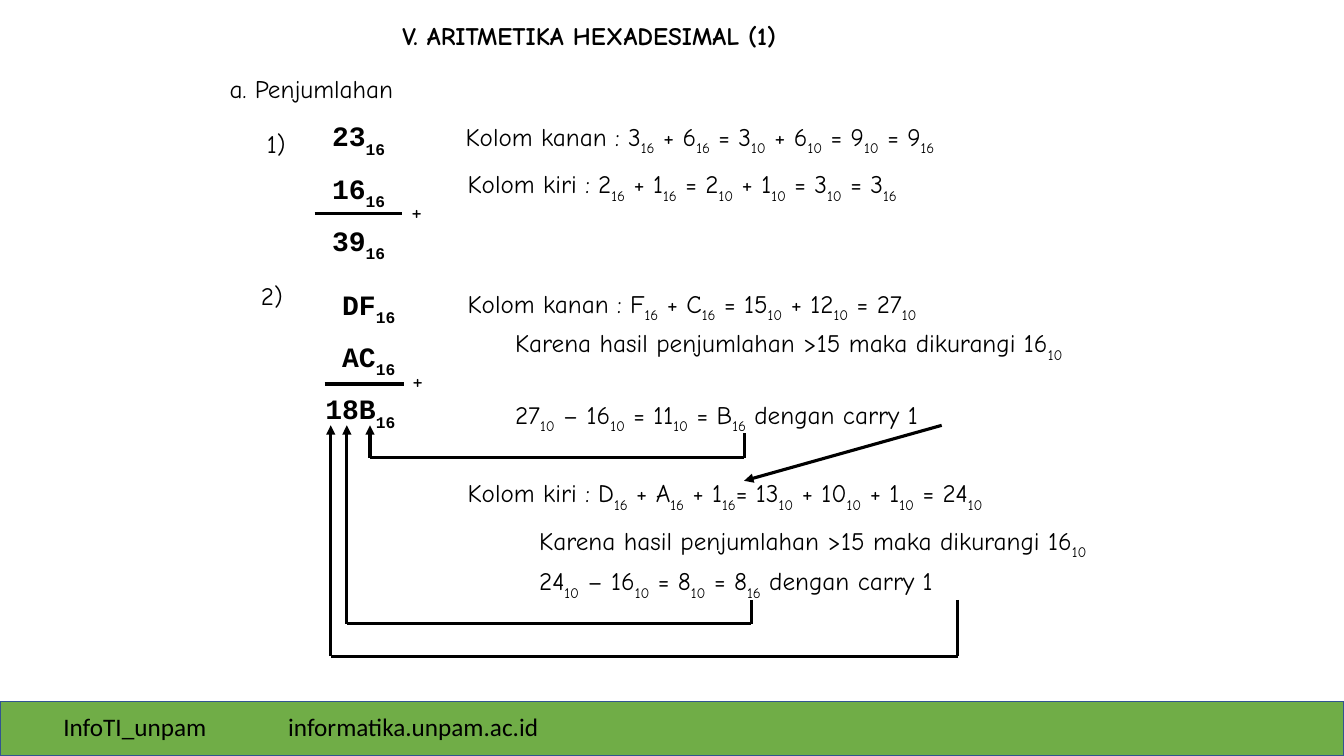
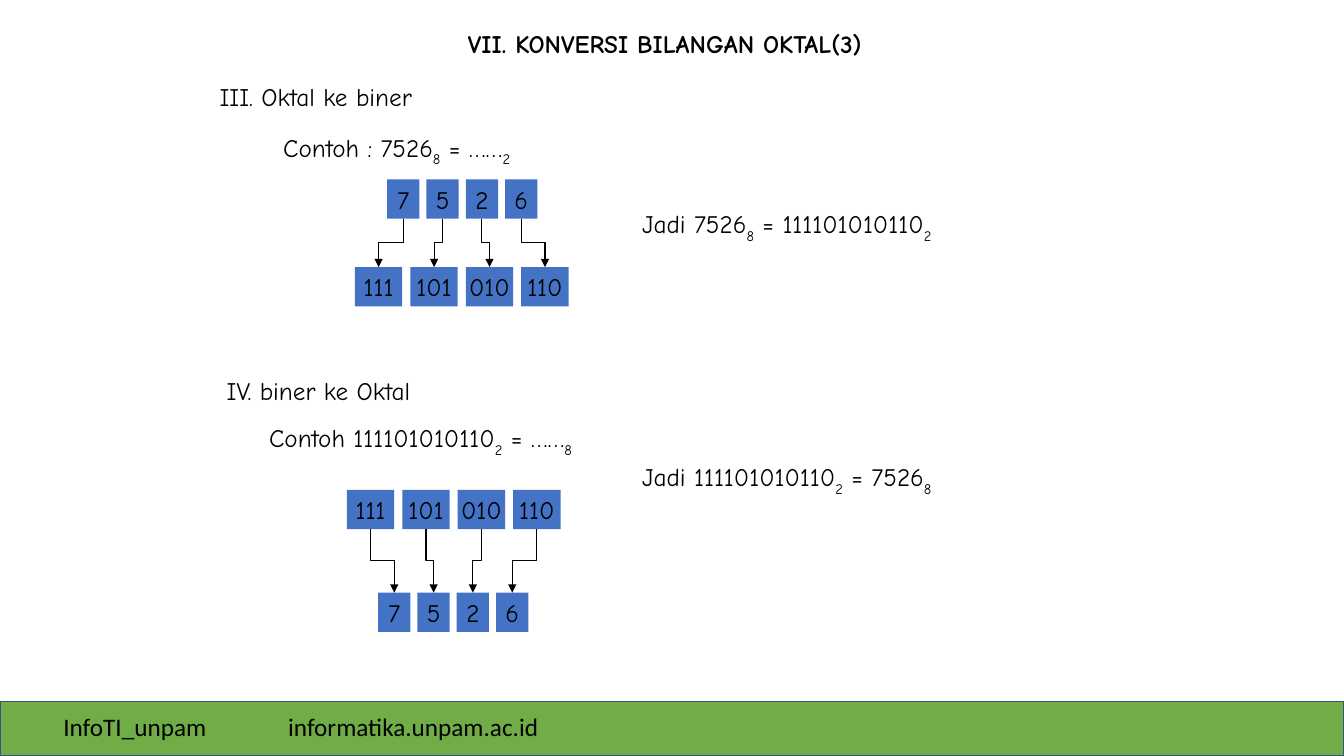
"""Build two slides on hexadecimal arithmetic and octal conversion."""
from itertools import pairwise

from lxml import etree
from pptx import Presentation
from pptx.dml.color import RGBColor
from pptx.enum.shapes import MSO_CONNECTOR, MSO_SHAPE
from pptx.enum.text import MSO_ANCHOR, MSO_AUTO_SIZE, PP_ALIGN
from pptx.oxml.ns import qn
from pptx.util import Pt

PX = 9144
BLACK = RGBColor(0x00, 0x00, 0x00)
GREEN = RGBColor(0x70, 0xAD, 0x47)
NAVY = RGBColor(0x32, 0x54, 0x91)
BLUE = RGBColor(0x44, 0x72, 0xC4)
BODY_FONT, CODE_FONT, FOOTER_FONT = "Comic Neue", "Courier New", "Calibri"
STRAIGHT, ELBOW = MSO_CONNECTOR.STRAIGHT, MSO_CONNECTOR.ELBOW
BAND, RECT = MSO_SHAPE.FLOWCHART_PROCESS, MSO_SHAPE.RECTANGLE
LEFT, CENTER, RIGHT = PP_ALIGN.LEFT, PP_ALIGN.CENTER, PP_ALIGN.RIGHT
TOP, MIDDLE = MSO_ANCHOR.TOP, MSO_ANCHOR.MIDDLE
NO_FIT = MSO_AUTO_SIZE.NONE


def write(sp, text, font=BODY_FONT, size=18, bold=False, align=LEFT, anchor=TOP):
    """Fill a shape with lines of text; pieces between bars are subscripts."""
    tf = sp.text_frame
    tf.word_wrap = True
    tf.auto_size = NO_FIT
    tf.vertical_anchor = anchor
    for i, line in enumerate(text.split("\n")):
        p = tf.add_paragraph() if i else tf.paragraphs[0]
        p.alignment = align
        p.space_before = Pt(9 if i else 0)
        for j, piece in enumerate(line.split("|")):
            if not piece:
                continue
            r = p.add_run()
            r.text = piece
            r.font.name = font
            r.font.size = Pt(size)
            r.font.bold = bold
            r.font.color.rgb = BLACK
            if j % 2:
                r._r.get_or_add_rPr().set("baseline", "-30000")


def style_line(c, width, arrow):
    """Give a connector a plain black line, with an arrowhead if wanted."""
    c.line.color.rgb = BLACK
    c.line.width = Pt(width)
    if arrow:
        etree.SubElement(c.line._get_or_add_ln(), qn("a:tailEnd"), type="triangle")
    etree.SubElement(c._element.spPr, qn("a:effectLst"))


prs = Presentation()
prs.slide_width = 1333 * PX
prs.slide_height = 750 * PX
layout = prs.slide_layouts[5]

TITLES = [
    ("V. ARITMETIKA HEXADESIMAL (1)", 389, 15),
    ("VII. KONVERSI BILANGAN OKTAL(3)", 454, 23),
]
LABELS = [
    [
        ("a. Penjumlahan", 218, 68),
        ("1)", 255, 122),
        ("2)", 249, 273),
        ("+", 398, 189),
        ("+", 399, 357),
        ("Kolom kanan : 3|16| + 6|16| = 3|10| + 6|10| = 9|10| = 9|16|", 452, 115),
        ("Kolom kiri : 2|16| + 1|16| = 2|10| + 1|10| = 3|10| = 3|16|", 454, 162),
        ("Kolom kanan : F|16| + C|16| = 15|10| + 12|10| = 27|10|", 454, 281),
        ("Karena hasil penjumlahan >15 maka dikurangi 16|10|", 501, 320),
        ("27|10| – 16|10| = 11|10| = B|16| dengan carry 1", 501, 391),
        ("Kolom kiri : D|16| + A|16| + 1|16|= 13|10| + 10|10| + 1|10| = 24|10|", 454, 469),
        ("Karena hasil penjumlahan >15 maka dikurangi 16|10|", 525, 516),
        ("24|10| – 16|10| = 8|10| = 8|16| dengan carry 1", 525, 556),
    ],
    [
        ("III. Oktal ke biner", 208, 76),
        ("Contoh : 7526|8| = ……|2|", 271, 126),
        ("Jadi 7526|8| = 111101010110|2|", 627, 202),
        ("IV. biner ke Oktal", 215, 367),
        ("Contoh 111101010110|2| = ……|8|", 257, 414),
        ("Jadi 111101010110|2| = 7526|8|", 627, 453),
    ],
]

slides = []
for (title, x, y), labels in zip(TITLES, LABELS):
    s = prs.slides.add_slide(layout)
    slides.append(s)
    sp = s.shapes.title
    sp.left, sp.top, sp.width, sp.height = x * PX, y * PX, 498 * PX, 40 * PX
    write(sp, title, bold=True)
    for text, x, y in labels:
        width = 600 if "|" in text else 243 if len(text) > 2 else 50
        sp = s.shapes.add_textbox(x * PX, y * PX, width * PX, 40 * PX)
        write(sp, text)
addition, conversion = slides

band = addition.shapes.add_shape(BAND, 0, 696 * PX, 1333 * PX, 54 * PX)
band.shadow.inherit = False
band.fill.solid()
band.fill.fore_color.rgb = GREEN
band.line.color.rgb = NAVY
band.line.width = Pt(1)
footer = [band]
for text, x, width in [("InfoTI_unpam", 53, 196), ("informatika.unpam.ac.id", 276, 295)]:
    sp = addition.shapes.add_textbox(x * PX, 701 * PX, width * PX, 40 * PX)
    write(sp, text, FOOTER_FONT)
    footer.append(sp)
for i, sp in enumerate(footer):
    sp._element.nvSpPr.cNvPr.set("id", str(20 + i))
    layout.shapes._spTree.append(sp._element)

for text, x, y in [
    ("23|16|\n16|16|\n39|16|", 299, 113),
    ("DF|16|\nAC|16|\n18B|16|", 309, 280),
]:
    sp = addition.shapes.add_textbox(x * PX, y * PX, 93 * PX, 145 * PX)
    write(sp, text, CODE_FONT, 20, True, RIGHT)

for points, arrow in [
    ([(312, 212), (399, 212)], False),
    ([(322, 381), (401, 381)], False),
    ([(934, 422), (738, 477)], True),
    ([(738, 430), (738, 454), (367, 454), (367, 422)], True),
    ([(745, 595), (745, 619), (344, 619), (344, 422)], True),
    ([(950, 595), (950, 651), (328, 651), (328, 422)], True),
]:
    for (x1, y1), (x2, y2) in pairwise(points):
        c = addition.shapes.add_connector(STRAIGHT, x1 * PX, y1 * PX, x2 * PX, y2 * PX)
        style_line(c, 2.25, arrow and (x2, y2) == points[-1])

OCTAL = (["7", "5", "2", "6"], 32, 39)
BINARY = (["111", "101", "010", "110"], 47, 55)
for rows in [
    [(OCTAL, 384, 178), (BINARY, 352, 265)],
    [(BINARY, 344, 486), (OCTAL, 375, 588)],
]:
    boxes = []
    for (digits, width, pitch), x, y in rows:
        row = []
        for i, digit in enumerate(digits):
            sp = conversion.shapes.add_shape(
                RECT, (x + i * pitch) * PX, y * PX, width * PX, 39 * PX)
            sp.shadow.inherit = False
            sp.fill.solid()
            sp.fill.fore_color.rgb = BLUE
            sp.line.fill.background()
            tf = sp.text_frame
            tf.margin_left = tf.margin_right = tf.margin_top = tf.margin_bottom = 0
            write(sp, digit, align=CENTER, anchor=MIDDLE)
            row.append(sp)
        boxes.append(row)
    for upper, lower in zip(*boxes):
        c = conversion.shapes.add_connector(ELBOW, 0, 0, 0, 0)
        c.begin_connect(upper, 2)
        c.end_connect(lower, 0)
        x1, y1, x2, y2 = c.begin_x, c.begin_y, c.end_x, c.end_y
        drop, shift = y2 - y1, abs(x2 - x1)
        c.left, c.top = (x1 + x2 - drop) // 2, (y1 + y2 - shift) // 2
        c.width, c.height = drop, shift
        xfrm = c._element.spPr.xfrm
        xfrm.set("rot", "16200000" if x2 > x1 else "5400000")
        xfrm.set("flipH", "1" if x2 > x1 else "0")
        xfrm.set("flipV", "0")
        style_line(c, 0.75, True)

prs.save("out.pptx")
